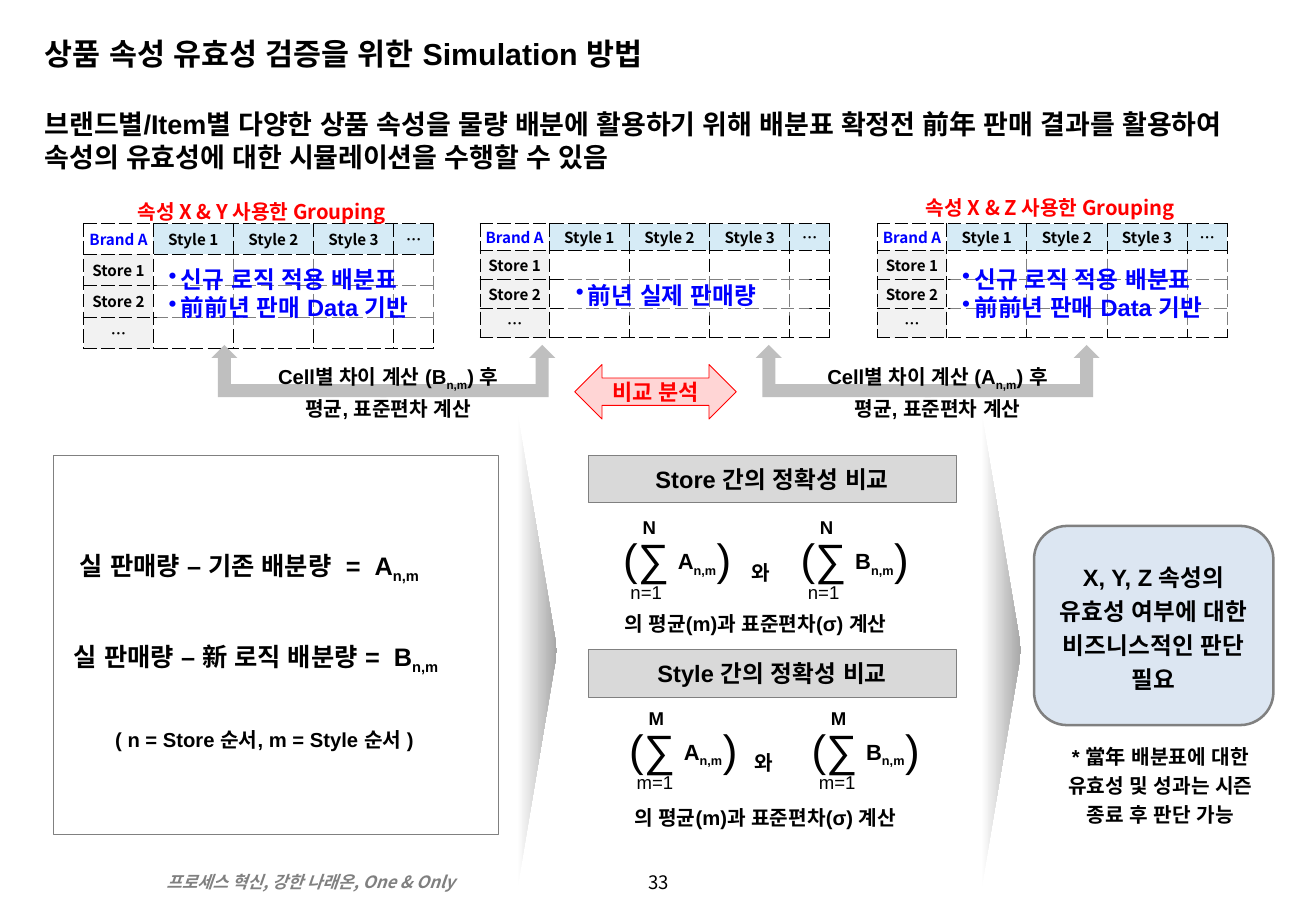
from lxml import etree
from pptx import Presentation, util as u
from pptx.dml.color import RGBColor
from pptx.enum import shapes, text
from pptx.oxml import ns

PX = 9144  # EMU per px, 100 px to the inch
BLACK = RGBColor(0, 0, 0)
WHITE = RGBColor(255, 255, 255)
BLUE = RGBColor(0, 0, 255)
RED = RGBColor(255, 0, 0)
PINK = RGBColor(0xFF, 0xD5, 0xD5)
GRAY = RGBColor(0x80, 0x80, 0x80)
ARROW_GRAY = RGBColor(0xBF, 0xBF, 0xBF)
GRADIENT_GRAY = RGBColor(0xA6, 0xA6, 0xA6)
BANNER_GRAY = RGBColor(0xD9, 0xD9, 0xD9)
STORE_GRAY = RGBColor(0xF2, 0xF2, 0xF2)
STYLE_BLUE = RGBColor(0xD6, 0xEB, 0xF6)
CONCLUSION_BLUE = RGBColor(0xDC, 0xE6, 0xF2)
ARIAL, NOTO = "Arial", "Noto Sans CJK KR"
LEFT, CENTER = text.PP_ALIGN.LEFT, text.PP_ALIGN.CENTER
TOP, MIDDLE = text.MSO_ANCHOR.TOP, text.MSO_ANCHOR.MIDDLE
Preset = shapes.MSO_SHAPE


def px(*lengths):
    return [u.Emu(length * PX) for length in lengths]


def add_xml(parent, tag, **attributes):
    return etree.SubElement(parent, ns.qn(tag), attributes)


def fill_paragraph(paragraph, content, size, color=BLACK, bold=True, italic=False,
                   name=ARIAL, align=LEFT, spacing=None):
    """Write content, where every second part between bars is a subscript."""
    for index, part in enumerate(content.split("|")):
        if part:
            run = paragraph.add_run()
            run.text = part
            if index % 2:
                run.font._element.set("baseline", "-25000")
    paragraph.alignment = align
    if spacing:
        paragraph.line_spacing = spacing
    font = paragraph.font
    font.size, font.bold, font.italic, font.name = u.Pt(size), bold, italic, name
    font.color.rgb = color
    add_xml(font._element, "a:ea", typeface=name)


def write(frame, lines, size, anchor=TOP, insets=(10, 5, 10, 5), bullet=False, **style):
    frame.word_wrap = True
    frame.vertical_anchor = anchor
    frame.margin_left, frame.margin_top, frame.margin_right, frame.margin_bottom = px(*insets)
    for index, line in enumerate(lines):
        paragraph = frame.add_paragraph() if index else frame.paragraphs[0]
        if bullet:
            properties = paragraph._p.get_or_add_pPr()
            properties.set("marL", str(10 * PX))
            properties.set("indent", str(-10 * PX))
            add_xml(properties, "a:buChar", char="•")
        fill_paragraph(paragraph, line, size, **style)


def add_label(slide, box, content, size, **style):
    write(slide.shapes.add_textbox(*px(*box)).text_frame, [content], size, **style)


def add_caption(slide, box, content, **style):
    add_label(slide, box, content, 12, anchor=MIDDLE, insets=(5, 0, 0, 0),
              align=CENTER, spacing=1.2, **style)


def add_block(slide, preset, box, fill=None, line=None, line_width=0.5):
    shape = slide.shapes.add_shape(preset, *px(*box))
    shape.shadow.inherit = False
    if fill is None:
        shape.fill.background()
    else:
        shape.fill.solid()
        shape.fill.fore_color.rgb = fill
    if line is None:
        shape.line.fill.background()
    else:
        shape.line.color.rgb = line
        shape.line.width = u.Pt(line_width)
    return shape


def format_cell(cell, content, fill, color):
    cell.fill.solid()
    cell.fill.fore_color.rgb = fill
    cell.vertical_anchor = MIDDLE
    cell.margin_left, cell.margin_right, cell.margin_top, cell.margin_bottom = px(4, 4, 2, 2)
    paragraph = cell.text_frame.paragraphs[0]
    fill_paragraph(paragraph, content, 9, color, name=NOTO, align=CENTER)
    if not content:
        paragraph._p.get_or_add_endParaRPr().set("sz", "900")
    properties = cell._tc.get_or_add_tcPr()
    for index, side in enumerate(("a:lnL", "a:lnR", "a:lnT", "a:lnB")):
        border = add_xml(properties, side, w="6350")
        add_xml(add_xml(border, "a:solidFill"), "a:srgbClr", val=str(BLACK))
        add_xml(border, "a:prstDash", val="sysDash")
        properties.insert(index, border)


def add_allocation_table(slide, left, top, header_height, row_height):
    headings = ["Brand A", "Style 1", "Style 2", "Style 3", "…"]
    stores = ["Store 1", "Store 2", "…"]
    widths, heights = [57, 66, 66, 66, 33], [header_height] + [row_height] * 3
    frame = slide.shapes.add_table(4, 5, *px(left, top, sum(widths), sum(heights)))
    table = frame.table
    for column, width in zip(table.columns, px(*widths)):
        column.width = width
    for row, height in zip(table.rows, px(*heights)):
        row.height = height
    for column, heading in enumerate(headings):
        format_cell(table.cell(0, column), heading, STYLE_BLUE if column else WHITE,
                    BLACK if column else BLUE)
        for row, store in enumerate(stores, 1):
            format_cell(table.cell(row, column), "" if column else store,
                        WHITE if column else STORE_GRAY, BLACK)


def add_table_note(slide, box, lines):
    shape = add_block(slide, Preset.RECTANGLE, box, WHITE)
    color = shape._element.spPr.find(ns.qn("a:solidFill"))[0]
    add_xml(color, "a:alpha", val="50000")
    write(shape.text_frame, lines, 14, color=BLUE, bullet=True)


def add_difference(slide, left, top, caption_left, symbol):
    """Place the two-headed bracket between tables and its caption."""
    add_block(slide, Preset.BENT_UP_ARROW, (left + 139, top, 144, 43), ARROW_GRAY)
    mirrored = add_block(slide, Preset.BENT_UP_ARROW, (left, top, 144, 43), ARROW_GRAY)
    mirrored._element.spPr.xfrm.set("flipH", "1")
    add_caption(slide, (caption_left, top + 13, 190, 48),
                f"Cell별 차이 계산 ({symbol}|n,m|) 후 평균, 표준편차 계산")


def add_sum(slide, left, top, index, limit, symbol):
    add_label(slide, (left, top, 75, 54), "(∑", 26, bold=False)
    add_label(slide, (left + 77, top, 40, 54), ")", 26, bold=False)
    add_label(slide, (left + 6, top + 40, 60, 29), f"{index}=1", 11, bold=False)
    add_label(slide, (left + 16, top - 13, 40, 29), limit, 11)
    add_label(slide, (left + 45, top + 13, 70, 32), f"{symbol}|n,m|", 13)


def add_comparison(slide, top, subject, index, limit, sum_lefts, and_left, result_left):
    """Place a banner, its two sums and the line below them."""
    banner = add_block(slide, Preset.RECTANGLE, (484, top, 303, 39), BANNER_GRAY, GRAY)
    write(banner.text_frame, [f"{subject} 간의 정확성 비교"], 14, anchor=MIDDLE,
          insets=(10, 0, 10, 0), align=CENTER)
    sum_top = top + (58 if index == "n" else 55)
    for left, symbol in zip(sum_lefts, "AB"):
        add_sum(slide, left, sum_top, index, limit, symbol)
    add_label(slide, (and_left, sum_top + 23, 40, 30), "와", 12)
    add_label(slide, (result_left, top + 123, 280, 30), "의 평균(m)과 표준편차(σ) 계산", 12)


def add_flow_triangle(slide, left, top):
    shape = add_block(slide, Preset.ISOSCELES_TRIANGLE, (left, top, 394, 33), WHITE)
    shape.rotation = 90
    shape.fill.gradient()
    shape.fill.gradient_angle = 90
    for stop, color in zip(shape.fill.gradient_stops, (WHITE, GRADIENT_GRAY)):
        stop.color.rgb = color


def add_heading(slide):
    title = slide.shapes.title
    title.left, title.top, title.width, title.height = px(27, 24, 1024, 46)
    write(title.text_frame, ["상품 속성 유효성 검증을 위한 Simulation 방법"], 18)
    add_label(slide, (27, 84, 1026, 83), "브랜드별/Item별 다양한 상품 속성을 물량 배분에 활용하기 위해 "
              "배분표 확정전 前年 판매 결과를 활용하여 속성의 유효성에 대한 시뮬레이션을 수행할 수 있음", 16)


def add_tables(slide):
    new_logic = ["신규 로직 적용 배분표", "前前년 판매 Data 기반"]
    add_allocation_table(slide, 69, 184, 25, 26)
    add_allocation_table(slide, 395, 184, 22, 24)
    add_allocation_table(slide, 722, 184, 22, 24)
    add_table_note(slide, (129, 213, 232, 57), new_logic)
    add_table_note(slide, (464, 226, 202, 34), ["前년 실제 판매량"])
    add_table_note(slide, (782, 213, 232, 57), new_logic)
    for left, top, pair in ((80, 160, "X & Y"), (729, 157, "X & Z")):
        add_caption(slide, (left, top, 266, 24), f"속성 {pair} 사용한 Grouping",
                    color=RED, name=NOTO)
    add_difference(slide, 174, 284, 222, "B")
    add_difference(slide, 622, 284, 674, "A")
    arrow = add_block(slide, Preset.LEFT_RIGHT_ARROW, (473, 300, 133, 45), PINK, RED)
    write(arrow.text_frame, ["비교 분석"], 13, anchor=MIDDLE, insets=(10, 0, 10, 0),
          color=RED, align=CENTER)


def add_definitions(slide):
    add_block(slide, Preset.RECTANGLE, (44, 375, 366, 312), line=GRAY)
    add_label(slide, (56, 448, 350, 35), "실 판매량 – 기존 배분량  =  A|n,m|", 15)
    add_label(slide, (51, 523, 358, 35), "실 판매량 – 新 로직 배분량 =  B|n,m|", 15)
    add_label(slide, (85, 594, 310, 30), "( n = Store 순서, m = Style 순서 )", 12)


def add_conclusion(slide):
    shape = add_block(slide, Preset.ROUNDED_RECTANGLE, (851, 433, 197, 164),
                      CONCLUSION_BLUE, GRAY, 1.5)
    write(shape.text_frame, ["X, Y, Z 속성의 유효성 여부에 대한", "비즈니스적인 판단 필요"], 14,
          anchor=MIDDLE, insets=(4, 0, 4, 0), align=CENTER, spacing=1.2)
    add_caption(slide, (857, 608, 191, 73), "* 當年 배분표에 대한 유효성 및 성과는 시즌 종료 후 판단 가능")


def add_footer(slide):
    add_label(slide, (492, 713, 100, 30), "33", 11, anchor=MIDDLE, bold=False,
              name=NOTO, align=CENTER, spacing=0.8)
    add_label(slide, (127, 713, 332, 27), "프로세스 혁신, 강한 나래온, One & Only", 10,
              color=GRAY, italic=True, name=NOTO)


def main():
    presentation = Presentation()
    presentation.slide_width, presentation.slide_height = px(1083, 750)
    slide = presentation.slides.add_slide(presentation.slide_layouts[5])
    add_heading(slide)
    add_tables(slide)
    add_definitions(slide)
    add_comparison(slide, 375, "Store", "n", "N", (503, 649), 609, 504)
    add_comparison(slide, 535, "Style", "m", "M", (508, 658), 611, 512)
    for left in (245, 627):
        add_flow_triangle(slide, left, 519)
    add_conclusion(slide)
    add_footer(slide)
    presentation.save("out.pptx")


if __name__ == "__main__":
    main()
